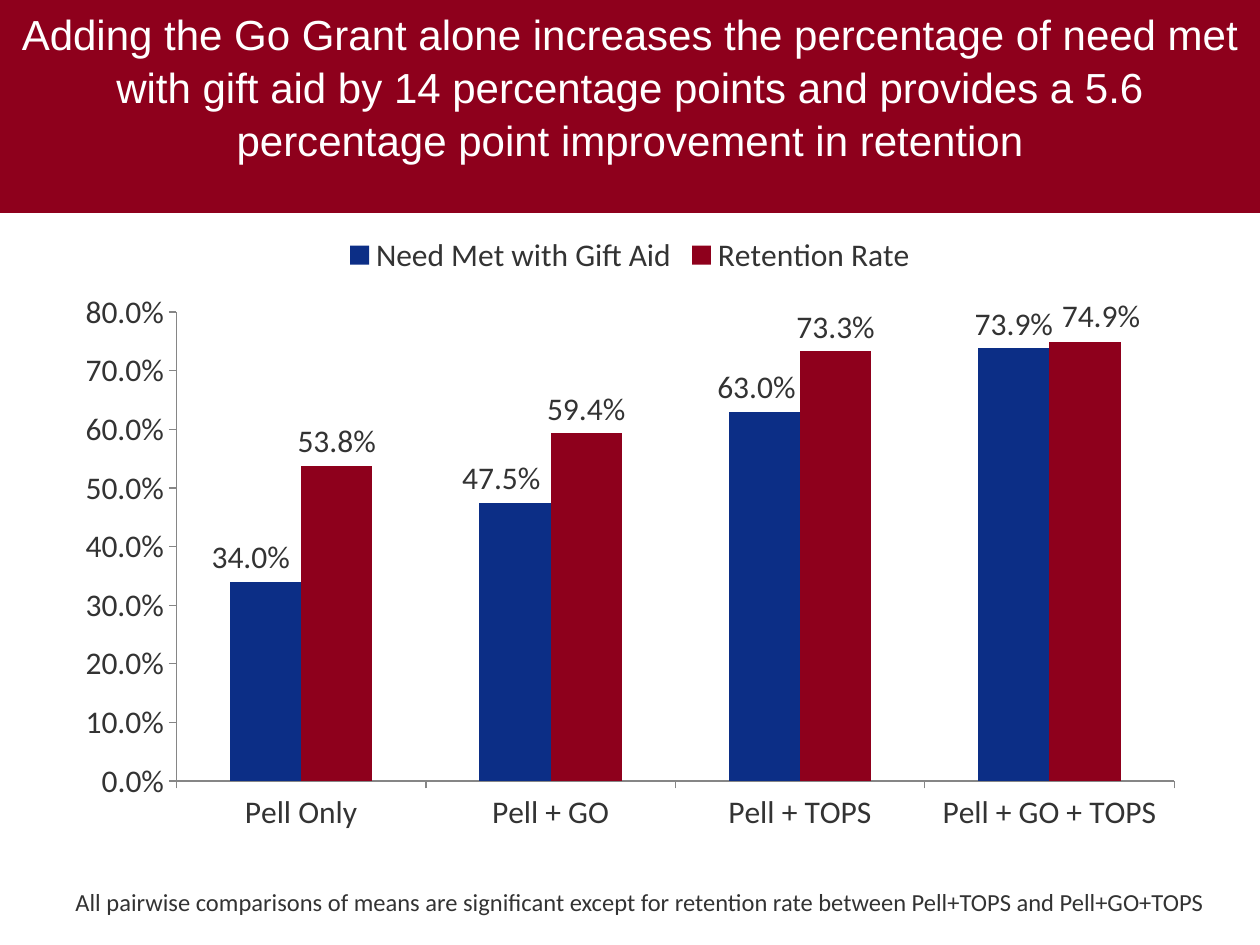
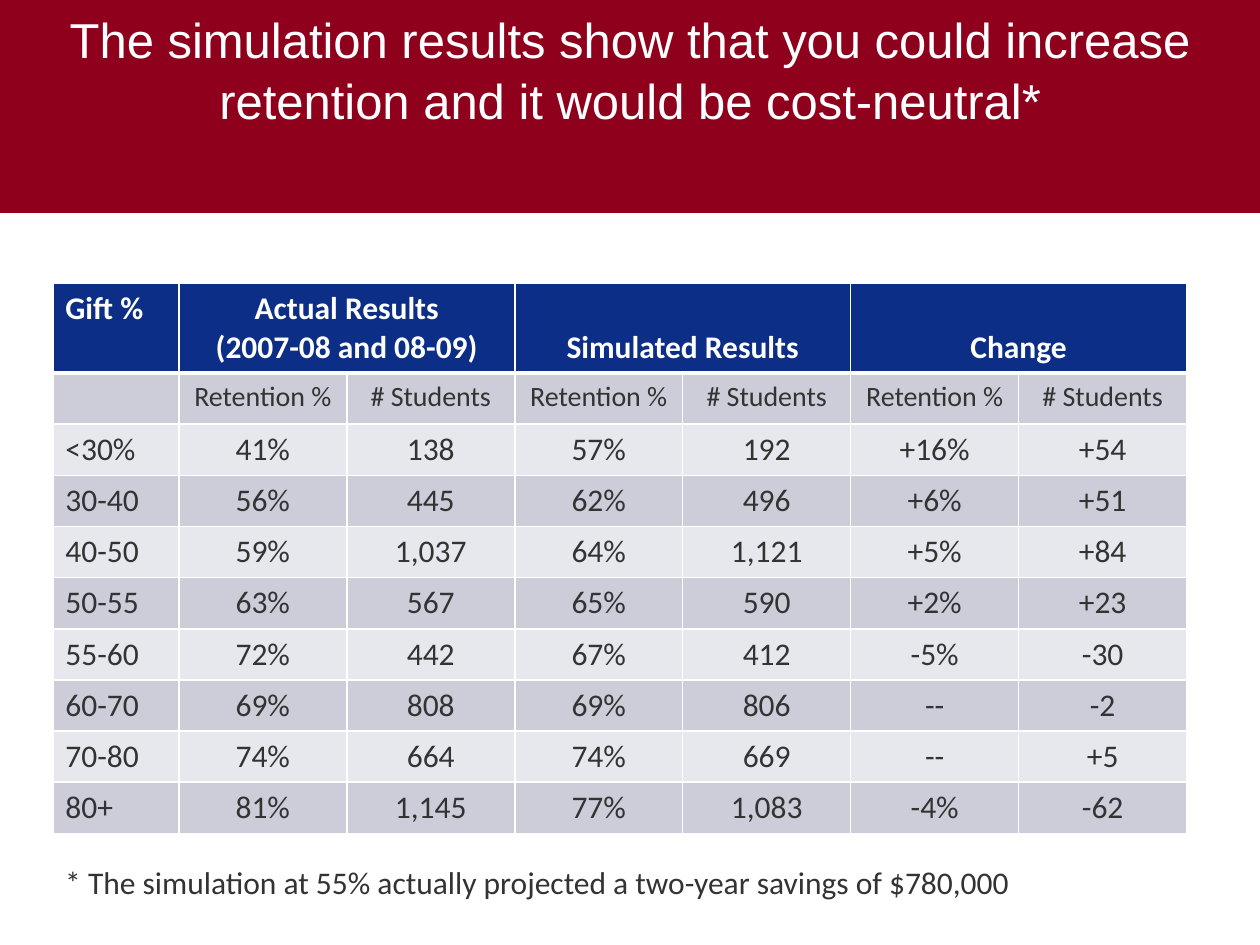
from lxml import etree
from pptx import Presentation
from pptx.chart.data import CategoryChartData
from pptx.dml.color import RGBColor
from pptx.enum.chart import XL_CHART_TYPE, XL_LABEL_POSITION, XL_LEGEND_POSITION, XL_TICK_MARK
from pptx.enum.text import MSO_ANCHOR, MSO_AUTO_SIZE, PP_ALIGN
from pptx.oxml import parse_xml
from pptx.oxml.ns import nsdecls, qn
from pptx.util import Pt

CRIMSON = RGBColor(0x8E, 0x00, 0x1C)
NAVY = RGBColor(0x0C, 0x2E, 0x86)
INK = RGBColor(0x33, 0x33, 0x33)
WHITE = RGBColor(0xFF, 0xFF, 0xFF)
AXIS_GREY = RGBColor(0x86, 0x86, 0x86)
DARK_BAND = RGBColor(0xCC, 0xCD, 0xD9)
LIGHT_BAND = RGBColor(0xE7, 0xE8, 0xED)

SLIDE_BOX = (720, 540)
TITLE_BAND = (0, 0, 720, 121.7)
TITLE_FONT, BODY_FONT = "Arial", "Calibri"
PERCENT = "0.0%"

AID_PACKAGES = ["Pell Only", "Pell + GO", "Pell + TOPS", "Pell + GO + TOPS"]
AID_MEASURES = [
    ("Need Met with Gift Aid", NAVY, [0.34, 0.475, 0.63, 0.739],
     {0: (-0.013, 0), 1: (-0.012, 0), 2: (-0.007, 0)}),
    ("Retention Rate", CRIMSON, [0.538, 0.594, 0.733, 0.749], {3: (0.014, -0.003)}),
]
RESULT_GROUPS = ["Actual Results\v(2007-08 and 08-09)", "Simulated Results", "Change"]
RESULT_ROWS = [
    ["", *["Retention %", "# Students"] * len(RESULT_GROUPS)],
    ["<30%", "41%", "138", "57%", "192", "+16%", "+54"],
    ["30-40", "56%", "445", "62%", "496", "+6%", "+51"],
    ["40-50", "59%", "1,037", "64%", "1,121", "+5%", "+84"],
    ["50-55", "63%", "567", "65%", "590", "+2%", "+23"],
    ["55-60", "72%", "442", "67%", "412", "-5%", "-30"],
    ["60-70", "69%", "808", "69%", "806", "--", "-2"],
    ["70-80", "74%", "664", "74%", "669", "--", "+5"],
    ["80+", "81%", "1,145", "77%", "1,083", "-4%", "-62"],
]


def points(box):
    """Turn a box of numbers into lengths in points."""
    return [Pt(length) for length in box]


def style_font(font, size, color=INK, name=BODY_FONT, bold=False):
    """Give a font its face, size, colour and weight."""
    font.name, font.size, font.bold = name, Pt(size), bold
    font.color.rgb = color


def add_titled_slide(prs, title, size):
    """Add a slide headed by the crimson title band."""
    slide = prs.slides.add_slide(prs.slide_layouts[5])
    band = slide.shapes.title
    band.left, band.top, band.width, band.height = points(TITLE_BAND)
    band.fill.solid()
    band.fill.fore_color.rgb = CRIMSON
    frame = band.text_frame
    frame.text = title
    frame.word_wrap = True
    frame.auto_size = MSO_AUTO_SIZE.NONE
    frame.vertical_anchor = MSO_ANCHOR.TOP
    heading = frame.paragraphs[0]
    heading.alignment = PP_ALIGN.CENTER
    heading.line_spacing = 1.05
    style_font(heading.font, size, WHITE, TITLE_FONT)
    return slide


def add_footnote(slide, box, text, size):
    """Write a one-line note below the slide's main content."""
    frame = slide.shapes.add_textbox(*points(box)).text_frame
    frame.word_wrap = False
    frame.text = text
    style_font(frame.paragraphs[0].font, size)


def manual_layout(x, y, extra=""):
    """Build a chart layout element from fractions of the chart."""
    return parse_xml(
        f'<c:layout {nsdecls("c")}><c:manualLayout>{extra}'
        f'<c:x val="{x}"/><c:y val="{y}"/></c:manualLayout></c:layout>')


def set_plot_area(chart, x, y, width, height):
    """Fix the inner plot area as fractions of the chart."""
    layout = manual_layout(
        x, y, '<c:layoutTarget val="inner"/><c:xMode val="edge"/><c:yMode val="edge"/>')
    for tag, value in (("c:w", width), ("c:h", height)):
        etree.SubElement(layout[0], qn(tag)).set("val", str(value))
    plot_area = chart._chartSpace.chart.plotArea
    for automatic in plot_area.findall(qn("c:layout")):
        plot_area.remove(automatic)
    plot_area.insert(0, layout)


def style_measure(measure, color, label_shifts):
    """Colour one series and place its value labels."""
    measure.format.fill.solid()
    measure.format.fill.fore_color.rgb = color
    measure.invert_if_negative = False
    labels = measure.data_labels
    labels.show_value = True
    labels.number_format, labels.number_format_is_linked = PERCENT, False
    labels.position = XL_LABEL_POSITION.OUTSIDE_END
    style_font(labels.font, 18)
    for index in label_shifts:
        label = measure.points[index].data_label
        label.position = XL_LABEL_POSITION.OUTSIDE_END
        style_font(label.font, 18)
    for label in measure._element.iter(qn("c:dLbl")):
        index = int(label.find(qn("c:idx")).get("val"))
        label.insert(1, manual_layout(*label_shifts[index]))


def add_aid_chart(slide, box):
    """Draw need met and retention for each aid package."""
    data = CategoryChartData(number_format=PERCENT)
    data.categories = AID_PACKAGES
    for name, _, values, _ in AID_MEASURES:
        data.add_series(name, values)
    chart = slide.shapes.add_chart(
        XL_CHART_TYPE.COLUMN_CLUSTERED, *points(box), data).chart
    style_font(chart.font, 18)
    chart.has_title = False
    chart.has_legend = True
    chart.legend.position = XL_LEGEND_POSITION.TOP
    chart.legend.include_in_layout = False
    columns = chart.plots[0]
    columns.gap_width, columns.overlap = 150, 0
    columns.vary_by_categories = False
    for axis in (chart.category_axis, chart.value_axis):
        axis.major_tick_mark = XL_TICK_MARK.OUTSIDE
        axis.minor_tick_mark = XL_TICK_MARK.NONE
        axis.has_major_gridlines = False
        axis.format.line.color.rgb = AXIS_GREY
    rates = chart.value_axis
    rates.minimum_scale, rates.maximum_scale, rates.major_unit = 0, 0.8, 0.1
    rates.tick_labels.number_format = PERCENT
    rates.tick_labels.number_format_is_linked = False
    for measure, (_, color, _, shifts) in zip(columns.series, AID_MEASURES):
        style_measure(measure, color, shifts)
    set_plot_area(chart, 0.1, 0.147, 0.88, 0.752)


def set_borders(cell, bottom):
    """Outline a cell in white, with its own bottom weight and top at one point."""
    properties = cell._tc.get_or_add_tcPr()
    for place, (side, weight) in enumerate(zip("LRTB", (1, 1, 1, bottom))):
        properties.insert(place, parse_xml(
            f'<a:ln{side} {nsdecls("a")} w="{Pt(weight)}"><a:solidFill>'
            f'<a:srgbClr val="{WHITE}"/></a:solidFill></a:ln{side}>'))


def fill_cell(cell, text, fill, size=18, color=INK, bold=False, centred=True, bottom=1):
    """Write and format one table cell."""
    cell.text = text
    cell.fill.solid()
    cell.fill.fore_color.rgb = fill
    entry = cell.text_frame.paragraphs[0]
    entry.alignment = PP_ALIGN.CENTER if centred else PP_ALIGN.LEFT
    style_font(entry.font, size, color, bold=bold)
    set_borders(cell, bottom)


def add_results_table(slide, box, gift_width, header_height):
    """Tabulate actual and simulated results by gift share."""
    left, top, width, height = box
    row_count, column_count = len(RESULT_ROWS) + 1, len(RESULT_ROWS[0])
    table = slide.shapes.add_table(row_count, column_count, *points(box)).table
    for index, column in enumerate(table.columns):
        column.width = Pt((width - gift_width) / (column_count - 1) if index else gift_width)
    for index, row in enumerate(table.rows):
        row.height = Pt((height - header_height) / (row_count - 1) if index else header_height)

    header = ["Gift %"]
    for group in RESULT_GROUPS:
        header += [group, ""]
    for column, text in enumerate(header):
        cell = table.cell(0, column)
        fill_cell(cell, text, NAVY, color=WHITE, bold=True, centred=column > 0, bottom=3)
        cell.vertical_anchor = MSO_ANCHOR.BOTTOM if column else MSO_ANCHOR.TOP
    for column in range(1, column_count, 2):
        table.cell(0, column).merge(table.cell(0, column + 1))

    for row, entries in enumerate(RESULT_ROWS, 1):
        for column, text in enumerate(entries):
            fill_cell(table.cell(row, column), text, DARK_BAND if row % 2 else LIGHT_BAND,
                      size=16 if row == 1 else 18, centred=column > 0)


def build_aid_slide(prs):
    """Build the slide on need met and retention by aid package."""
    slide = add_titled_slide(
        prs, "Adding the Go Grant alone increases the percentage of need met with gift aid "
        "by 14 percentage points and provides a 5.6 percentage point improvement in retention", 24)
    add_aid_chart(slide, (36, 126, 648, 356.4))
    add_footnote(slide, (36, 503.3, 666, 24.5),
                 "All pairwise comparisons of means are significant except for retention rate "
                 "between Pell+TOPS and Pell+GO+TOPS", 14)


def build_simulation_slide(prs):
    """Build the slide that compares actual and simulated results."""
    slide = add_titled_slide(
        prs, "The simulation results show that you could increase retention "
        "and it would be cost-neutral*", 28)
    add_results_table(slide, (30.2, 162, 648, 313.6), 72, 50.4)
    add_footnote(slide, (30.2, 489.6, 569.5, 28.8),
                 "* The simulation at 55% actually projected a two-year savings of $780,000", 18)


def main():
    """Build and save the presentation."""
    prs = Presentation()
    prs.slide_width, prs.slide_height = points(SLIDE_BOX)
    build_aid_slide(prs)
    build_simulation_slide(prs)
    prs.save("out.pptx")


if __name__ == "__main__":
    main()
